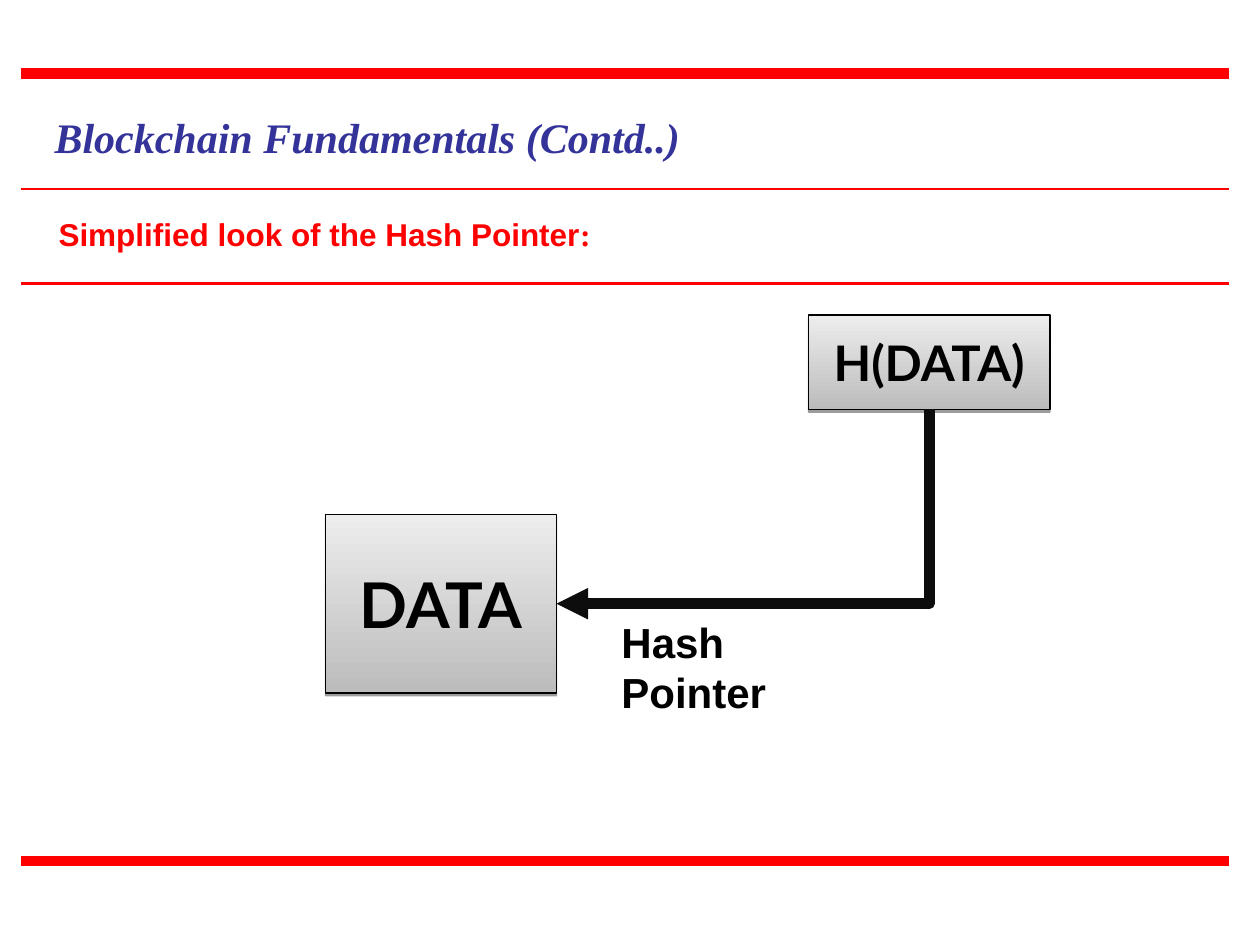
"""Build the slide on hash pointers in blockchains."""
import pptx
import pptx.dml.color
import pptx.enum.shapes
import pptx.enum.text
import pptx.oxml
import pptx.oxml.ns
import pptx.util

RED = pptx.dml.color.RGBColor(0xFF, 0x00, 0x00)
NAVY = pptx.dml.color.RGBColor(0x33, 0x33, 0x99)
BLACK = pptx.dml.color.RGBColor(0x00, 0x00, 0x00)
ARROW = pptx.dml.color.RGBColor(0x0D, 0x0D, 0x0D)
DARK_GREY = pptx.dml.color.RGBColor(0xBC, 0xBC, 0xBC)
LIGHT_GREY = pptx.dml.color.RGBColor(0xED, 0xED, 0xED)

NS = pptx.oxml.ns.nsdecls("a")
SHADOW = (
    f'<a:outerShdw {NS} blurRad="0" dist="20320" dir="5400000" rotWithShape="0">'
    '<a:srgbClr val="000000"><a:alpha val="38000"/></a:srgbClr></a:outerShdw>'
)


def grid(*cells):
    """Turn grid cells of a twelfth of an inch into lengths."""
    return [pptx.util.Inches(cell / 12) for cell in cells]


def write(frame, text, *, size, font, color=BLACK, italic=False, wrap=True,
          align=pptx.enum.text.PP_ALIGN.LEFT, anchor=pptx.enum.text.MSO_ANCHOR.TOP):
    """Fill a text frame with one bold line and return its paragraph."""
    frame.word_wrap = wrap
    frame.vertical_anchor = anchor
    paragraph = frame.paragraphs[0]
    paragraph.alignment = align
    add_words(paragraph, text, size=size, font=font, color=color, italic=italic)
    return paragraph


def add_words(paragraph, text, *, size, font, color, italic=False):
    """Append a bold run to a paragraph."""
    words = paragraph.add_run()
    words.text = text
    words.font.size = pptx.util.Pt(size)
    words.font.name = font
    words.font.bold = True
    words.font.italic = italic
    words.font.color.rgb = color


def add_line(slide, kind, start, end, color, weight):
    """Draw a connector without shadow between two points."""
    line = slide.shapes.add_connector(kind, *start, *end)
    line.line.color.rgb = color
    line.line.width = pptx.util.Pt(weight)
    line._element.spPr.append(pptx.oxml.parse_xml(f"<a:effectLst {NS}/>"))
    return line


def add_rule(slide, row, weight):
    """Draw a red rule across the slide."""
    left, right, top = grid(2, 117, row)
    add_line(slide, pptx.enum.shapes.MSO_CONNECTOR.STRAIGHT,
             (left, top), (right, top), RED, weight)


def add_block(slide, cells, text, size):
    """Add a grey gradient box with a centred label."""
    block = slide.shapes.add_shape(pptx.enum.shapes.MSO_SHAPE.RECTANGLE, *grid(*cells))
    block.fill.gradient()
    block.fill.gradient_angle = 90
    for stop, color, position in zip(block.fill.gradient_stops,
                                     (DARK_GREY, LIGHT_GREY), (0, 1)):
        stop.color.rgb = color
        stop.position = position
    block.line.color.rgb = BLACK
    block.line.width = pptx.util.Pt(0.75)
    block.shadow.inherit = False
    effects = block._element.spPr.find(pptx.oxml.ns.qn("a:effectLst"))
    effects.append(pptx.oxml.parse_xml(SHADOW))
    write(block.text_frame, text, size=size, font="Lato",
          align=pptx.enum.text.PP_ALIGN.CENTER,
          anchor=pptx.enum.text.MSO_ANCHOR.MIDDLE)
    return block


def add_pointer(slide, source, target):
    """Draw the arrow down from the source box and left into the target box."""
    start_x, start_y = source.left + source.width // 2, source.top + source.height
    end_x, end_y = target.left + target.width, target.top + target.height // 2
    middle_x, middle_y = (start_x + end_x) // 2, (start_y + end_y) // 2
    half_drop, half_run = (end_y - start_y) // 2, (start_x - end_x) // 2
    pointer = add_line(slide, pptx.enum.shapes.MSO_CONNECTOR.ELBOW,
                       (middle_x - half_drop, middle_y - half_run),
                       (middle_x + half_drop, middle_y + half_run), ARROW, 6)
    properties = pointer._element.spPr
    properties.find(pptx.oxml.ns.qn("a:xfrm")).set("rot", "5400000")
    properties.find(pptx.oxml.ns.qn("a:prstGeom")).set("prst", "bentConnector2")
    outline = properties.find(pptx.oxml.ns.qn("a:ln"))
    outline.append(pptx.oxml.parse_xml(f'<a:tailEnd {NS} type="triangle"/>'))


def main():
    """Build and save the slide."""
    deck = pptx.Presentation()
    deck.slide_width, deck.slide_height = grid(120, 90)
    slide = deck.slides.add_slide(deck.slide_layouts.get_by_name("Title Only"))

    for row, weight in ((7, 6), (18, 1.5), (27, 1.5), (82, 6)):
        add_rule(slide, row, weight)

    title = slide.shapes.title
    title.left, title.top, title.width, title.height = grid(4, 10, 75, 6)
    write(title.text_frame, "Blockchain Fundamentals (Contd..)", size=24,
          font="Times New Roman", color=NAVY, italic=True)

    subtitle = slide.shapes.add_textbox(*grid(4.4, 19.9, 110.2, 8.4))
    heading = write(subtitle.text_frame, "Simplified look of the Hash Pointer",
                    size=18, font="Arial", color=RED)
    add_words(heading, ":", size=18, font="Times New Roman", color=RED)

    data = add_block(slide, (31, 49, 22, 17), "DATA", 36)
    digest = add_block(slide, (77, 30, 23, 9), "H(DATA)", 28)
    add_pointer(slide, digest, data)
    caption = slide.shapes.add_textbox(*grid(58, 58.1, 27, 6))
    write(caption.text_frame, "Hash Pointer", size=24, font="Arial", wrap=False)

    deck.save("out.pptx")


if __name__ == "__main__":
    main()
